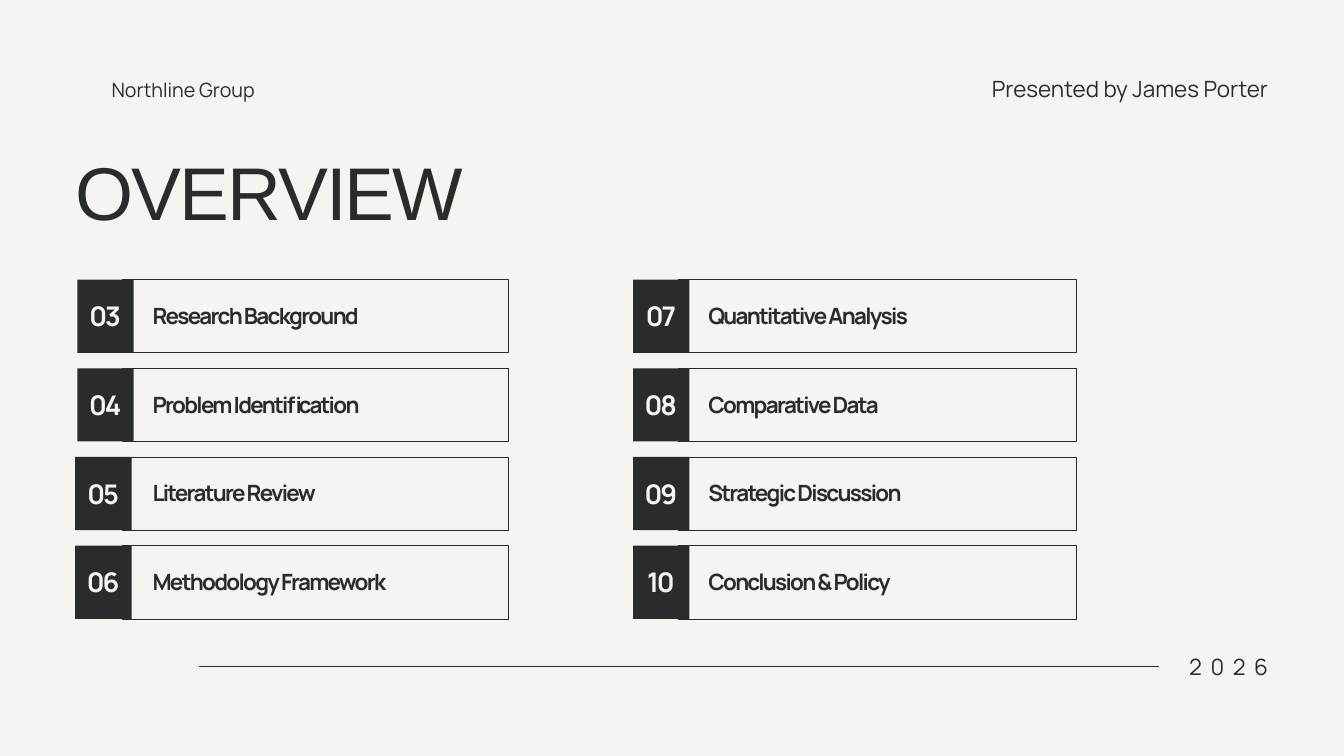
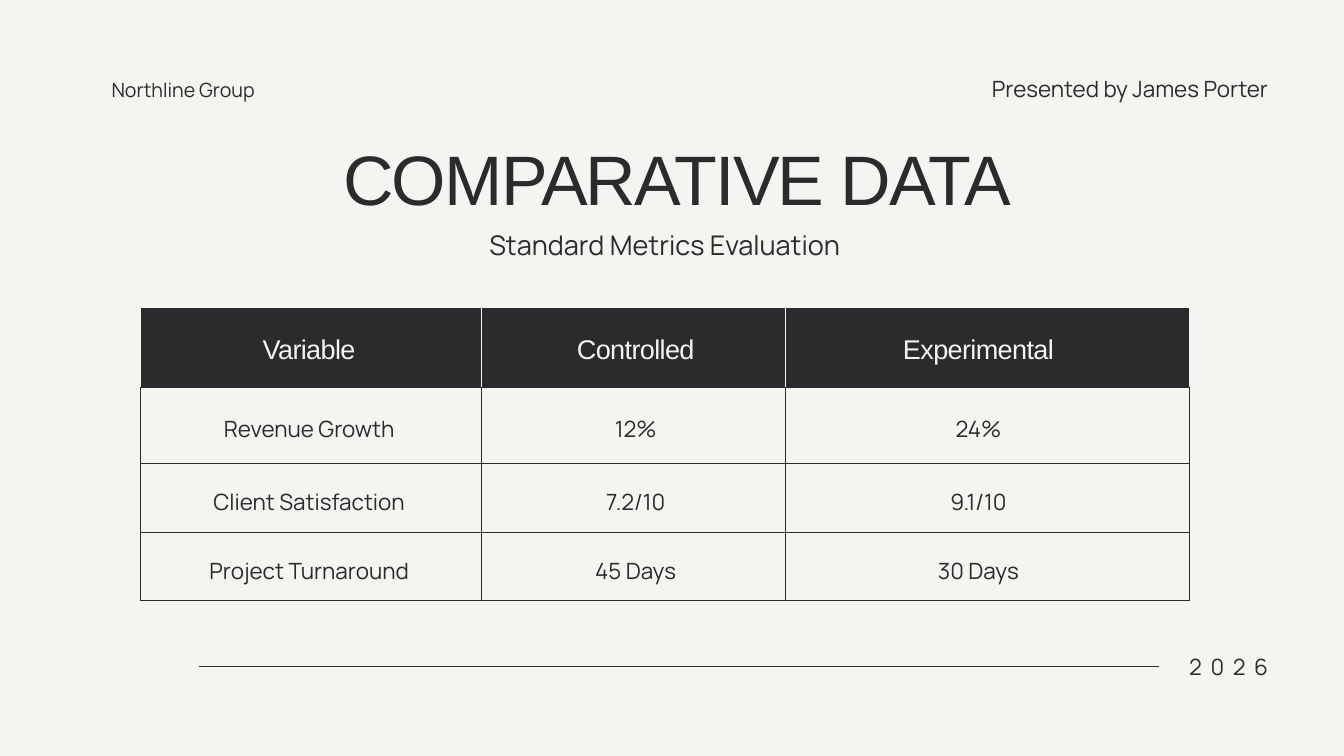
from lxml import etree
from pptx import Presentation
from pptx import util as u
from pptx.dml.color import RGBColor
from pptx.enum import shapes, text
from pptx.oxml.ns import qn

INK, PAPER = "292B2D", "F6F4F1"
LEFT, CENTER, RIGHT = text.PP_ALIGN.LEFT, text.PP_ALIGN.CENTER, text.PP_ALIGN.RIGHT

presentation = Presentation()
presentation.slide_width, presentation.slide_height = u.Inches(20), u.Inches(11.25)
CELL = presentation.slide_width // 20  # square grid: 20 columns, 11.25 rows


def color(hex_value):
    return RGBColor.from_string(hex_value)


def add_text(slide, words, column, row, columns, rows, size, leading, align=LEFT,
             font="Manrope", ink=INK, bold=False, spacing=0):
    box = slide.shapes.add_textbox(*(round(n * CELL) for n in (column, row, columns, rows)))
    frame = box.text_frame
    frame.margin_left = frame.margin_top = frame.margin_right = frame.margin_bottom = 0
    frame.word_wrap = True
    frame.auto_size = text.MSO_AUTO_SIZE.SHAPE_TO_FIT_TEXT
    frame.text = words
    paragraph = frame.paragraphs[0]
    paragraph.alignment, paragraph.line_spacing = align, u.Pt(leading)
    run = paragraph.runs[0]
    run.font.name, run.font.size, run.font.bold = font, u.Pt(size), bold
    run.font.color.rgb = color(ink)
    if spacing:
        run.font._element.set("spc", str(round(spacing * 100)))


# Shared background, header and footer
presentation.slide_master.background.fill.solid()
presentation.slide_master.background.fill.fore_color.rgb = color(PAPER)
overview, comparison = [presentation.slides.add_slide(presentation.slide_layouts[6])
                        for _ in range(2)]
for slide in (overview, comparison):
    add_text(slide, "Presented by James Porter", 12.71, 1.05, 6.16, 0.46, 24, 33.6, RIGHT)
    add_text(slide, "Northline Group", 1.66, 1.1, 5.91, 0.41, 21, 29.4)
    rule = slide.shapes.add_connector(
        shapes.MSO_CONNECTOR.STRAIGHT, *(round(n * CELL) for n in (2.96, 9.92, 17.24, 9.92)))
    rule.line.color.rgb, rule.line.width = color(INK), u.Pt(1.5)
    etree.SubElement(rule._element.spPr, qn("a:effectLst"))
    add_text(slide, "2026", 17.24, 9.65, 1.63, 0.46, 24, 33.6, RIGHT, spacing=9.2)

# Overview: two columns of numbered topics
add_text(overview, "OVERVIEW", 1.12, 2.61, 8.22, 1.02, 80, 64, font="Arial", spacing=-2)
# frame left, frame width, tab left in each row, topics
topic_columns = [
    (1.82, 5.75, (1.15, 1.15, 1.12, 1.12),
     ("Research Background", "Problem Identification", "Literature Review",
      "Methodology Framework")),
    (10.09, 5.93, (9.42,) * 4,
     ("Quantitative Analysis", "Comparative Data", "Strategic Discussion",
      "Conclusion & Policy")),
]
number = 3
for frame_left, frame_width, tab_lefts, topics in topic_columns:
    for index, (tab_left, topic) in enumerate(zip(tab_lefts, topics)):
        top = 4.16 + 1.32 * index
        frame, tab = [
            overview.shapes.add_shape(shapes.MSO_SHAPE.RECTANGLE,
                                      *(round(n * CELL) for n in (left, top, width, 1.09)))
            for left, width in ((frame_left, frame_width), (tab_left, 0.84))]
        frame.shadow.inherit = tab.shadow.inherit = False
        frame.fill.background()
        frame.line.color.rgb, frame.line.width = color(INK), u.Pt(0.75)
        tab.fill.solid()
        tab.fill.fore_color.rgb = color(INK)
        tab.line.fill.background()
        add_text(overview, topic, frame_left + 0.45, top + 0.27, 4.24, 0.46, 24, 33.6,
                 bold=True, spacing=-1.8)
        add_text(overview, f"{number:02}", tab_left, top + 0.22, 0.83, 0.57, 29, 40.6, CENTER,
                 ink=PAPER, bold=True, spacing=-2.2)
        number += 1

# Comparison: headings
add_text(comparison, "COMPARATIVE DATA", 2.46, 2.22, 15.24, 1.11, 75, 75, CENTER,
         font="Arial", spacing=-1.9)
add_text(comparison, "Standard Metrics Evaluation", 5.71, 3.08, 8.37, 0.74, 29, 58, CENTER)

# Comparison: ruled table
column_widths, row_heights = (5.07, 4.53, 6.01), (1.19, 1.13, 1.02, 1.02)
table = comparison.shapes.add_table(
    4, 3, *(round(n * CELL) for n in (2.09, 4.58, sum(column_widths), sum(row_heights)))).table
table.first_row = table.horz_banding = False
for column, width in zip(table.columns, column_widths):
    column.width = round(width * CELL)
for row_index, (row, height) in enumerate(zip(table.rows, row_heights)):
    row.height = round(height * CELL)
    for cell in row.cells:
        properties = cell._tc.get_or_add_tcPr()
        for side in "LRTB":
            thin = row_index == 1 and side in "LR"
            border = etree.SubElement(properties, qn(f"a:ln{side}"),
                                      w=str(u.Pt(0.75 if thin else 1.5)))
            fill = etree.SubElement(border, qn("a:solidFill"))
            etree.SubElement(fill, qn("a:srgbClr"),
                             val=PAPER if row_index == 0 and side != "B" else INK)
        if row_index == 0:
            cell.fill.solid()
            cell.fill.fore_color.rgb = color(INK)
        else:
            cell.fill.background()

# Comparison: wording centred on the table's columns
metrics = [
    (5.08, ("Variable", "Controlled", "Experimental")),
    (5.91, ("Revenue Growth", "12%", "24%")),
    (6.99, ("Client Satisfaction", "7.2/10", "9.1/10")),
    (8.02, ("Project Turnaround", "45 Days", "30 Days")),
]
for row_index, (top, entries) in enumerate(metrics):
    for center, entry in zip((4.6, 9.46, 14.56), entries):
        if row_index == 0:
            add_text(comparison, entry, center - 1.59, top, 3.18, 0.39, 29, 25.5, CENTER,
                     font="Arial", ink=PAPER, spacing=-0.7)
        else:
            add_text(comparison, entry, center - 1.75, top, 3.5, 0.63, 24, 48, CENTER)

presentation.save("out.pptx")
